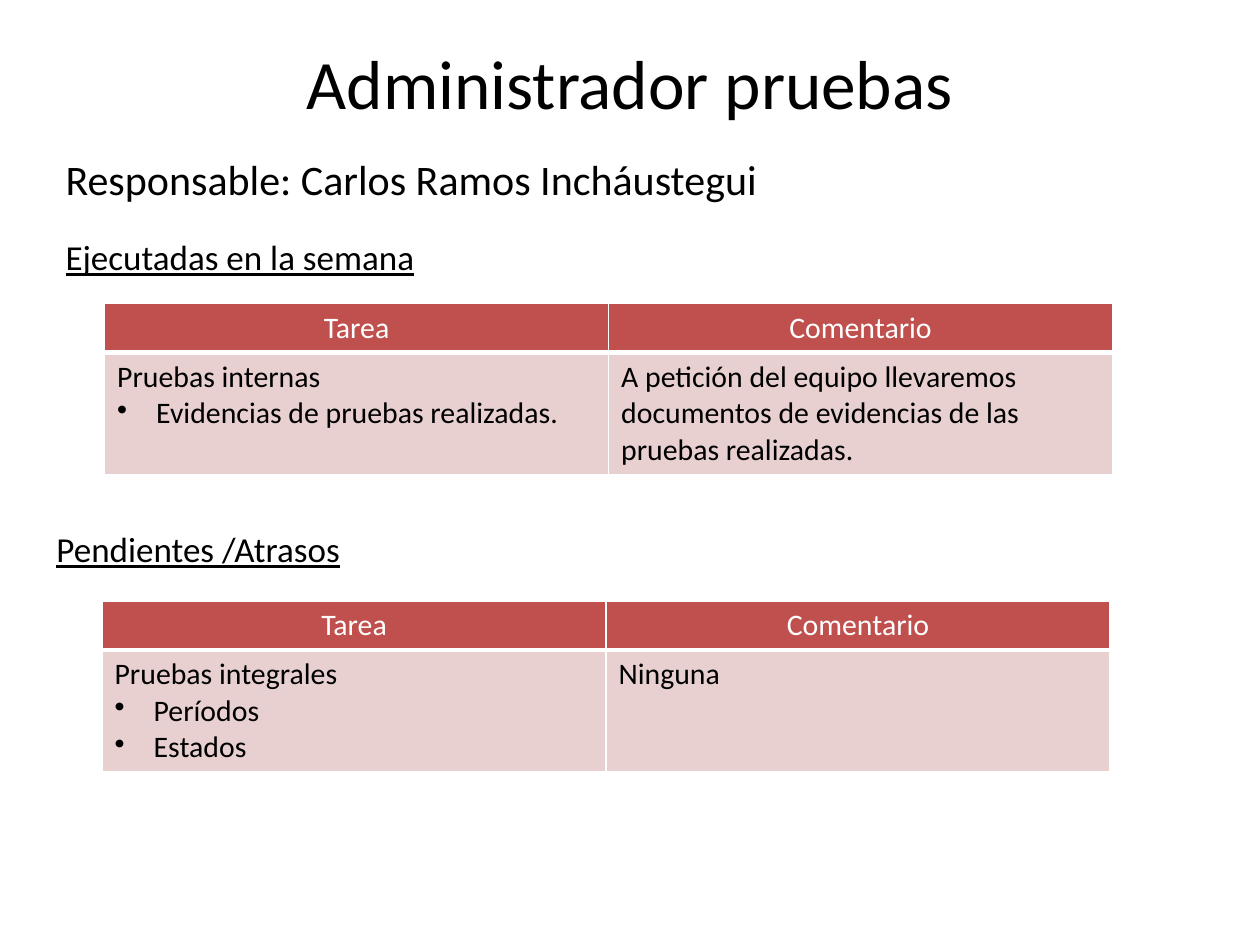
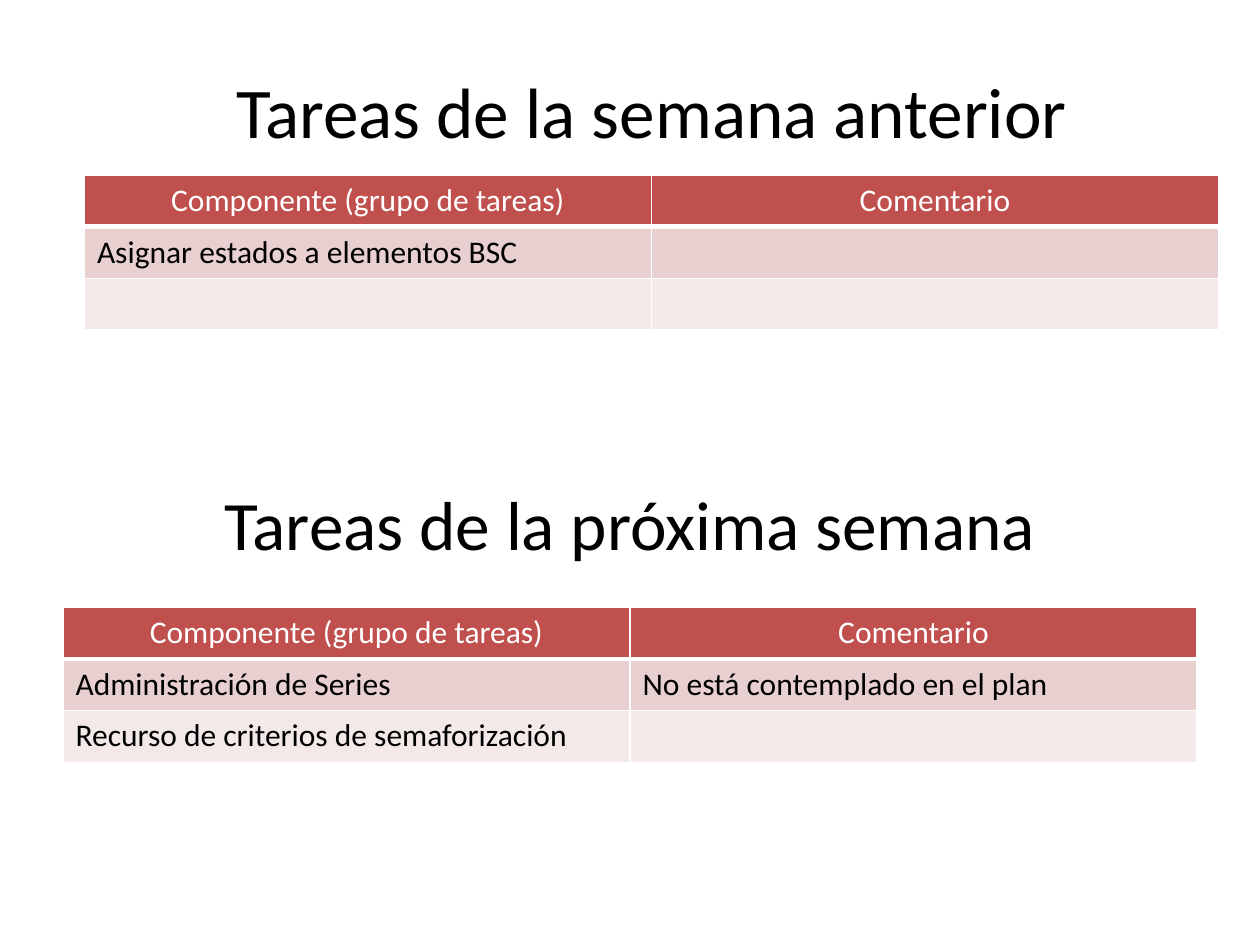
from lxml import etree
from pptx import Presentation
from pptx.dml.color import RGBColor
from pptx.enum.text import MSO_ANCHOR, MSO_AUTO_SIZE, PP_ALIGN
from pptx.oxml.ns import qn
from pptx.util import Emu, Inches, Pt

LEFT, CENTER = PP_ALIGN.LEFT, PP_ALIGN.CENTER
TOP, MIDDLE = MSO_ANCHOR.TOP, MSO_ANCHOR.MIDDLE
NO_AUTOFIT = MSO_AUTO_SIZE.NONE

# Shared style: a grid of 10 columns by 7.5 rows, one inch per unit
COLUMNS, ROWS = 10, 7.5
UNIT = Inches(1)
FONT = "Calibri"
TITLE_SIZE = 39.6
COLORS = {"text": "000000", "header": "C0504D", "header_text": "FFFFFF",
          "border": "FFFFFF", "odd_row": "E8D0D0", "even_row": "F4E9E9"}
TITLE_AND_BODY, TITLE_ONLY = 1, 5
TASK_HEADINGS = ["Tarea", "Comentario"]
COMPONENT_HEADINGS = ["Componente (grupo de tareas)", "Comentario"]


def grid(*units):
    return [Emu(int(unit * UNIT)) for unit in units]


def rgb(name):
    return RGBColor.from_string(COLORS[name])


def write(paragraph, text, size, color="text", align=LEFT, underline=None,
          before=0, indent=0, bullet=None):
    """Fill one paragraph with formatted text."""
    paragraph.alignment = align
    paragraph.space_before = Pt(before)
    properties = paragraph._p.get_or_add_pPr()
    hanging = int(indent * UNIT)
    properties.set("marL", str(hanging))
    properties.set("indent", str(-hanging))
    if bullet:
        etree.SubElement(properties, qn("a:buChar")).set("char", bullet)
    else:
        etree.SubElement(properties, qn("a:buNone"))
    run = paragraph.add_run()
    run.text = text
    run.font.name = FONT
    run.font.size = Pt(size)
    run.font.underline = underline
    run.font.color.rgb = rgb(color)


def place(shape, area, anchor):
    shape.left, shape.top, shape.width, shape.height = grid(*area)
    frame = shape.text_frame
    frame.word_wrap = True
    frame.auto_size = NO_AUTOFIT
    frame.vertical_anchor = anchor
    return frame


def add_title(shape, text, area, size=TITLE_SIZE):
    frame = place(shape, area, MIDDLE)
    write(frame.paragraphs[0], text, size, align=CENTER)


def write_section(paragraph, text, before=0):
    write(paragraph, text, 20, underline=True, before=before, indent=0.38)


def style_cell(cell, fill, bottom_width):
    """Draw the white borders and the fill of a cell."""
    properties = cell._tc.get_or_add_tcPr()
    widths = {"L": 1, "R": 1, "T": 1, "B": bottom_width}
    for position, (side, width) in enumerate(widths.items()):
        line = etree.Element(qn(f"a:ln{side}"), w=str(Pt(width)))
        paint = etree.SubElement(line, qn("a:solidFill"))
        etree.SubElement(paint, qn("a:srgbClr"), val=COLORS["border"])
        properties.insert(position, line)
    cell.fill.solid()
    cell.fill.fore_color.rgb = rgb(fill)


def fill_cell(cell, lines, **style):
    """Write the lines of a cell; those after the first are bulleted."""
    for number, line in enumerate(lines):
        frame = cell.text_frame
        if number:
            write(frame.add_paragraph(), line, indent=0.31, bullet="•", **style)
        else:
            write(frame.paragraphs[0], line, **style)


def add_tasks(slide, left, top, column_width, row_heights, headings, tasks, size):
    """Add a table; each cell of tasks is a list of lines."""
    area = grid(left, top, column_width * len(headings), sum(row_heights))
    table = slide.shapes.add_table(len(row_heights), len(headings), *area).table
    for column in table.columns:
        column.width = grid(column_width)[0]
    for row, height in zip(table.rows, row_heights):
        row.height = grid(height)[0]
    for column, heading in enumerate(headings):
        cell = table.cell(0, column)
        style_cell(cell, "header", 3)
        fill_cell(cell, [heading], size=size, color="header_text", align=CENTER)
    for number, task in enumerate(tasks, start=1):
        for column, lines in enumerate(task):
            cell = table.cell(number, column)
            style_cell(cell, "odd_row" if number % 2 else "even_row", 1)
            fill_cell(cell, lines, size=size)


def build_test_manager(deck):
    slide = deck.slides.add_slide(deck.slide_layouts[TITLE_AND_BODY])
    add_title(slide.shapes.title, "Administrador pruebas", (0.5, 0.3, 9, 0.7))
    task_table = {"column_width": 4, "row_heights": [0.37, 0.96],
                  "headings": TASK_HEADINGS, "size": 17}

    # Person in charge and tasks done
    summary = place(slide.placeholders[1], (0.42, 1.17, 9.33, 1.25), TOP)
    write(summary.paragraphs[0], "Responsable: Carlos Ramos Incháustegui", 24,
          indent=0.38)
    write_section(summary.add_paragraph(), "Ejecutadas en la semana", before=18)
    add_tasks(slide, 0.83, 2.41, tasks=[[
        ["Pruebas internas", "Evidencias de pruebas realizadas."],
        ["A petición del equipo llevaremos documentos de evidencias de las "
         "pruebas realizadas."]]], **task_table)

    # Pending tasks
    area = (0.35, 4.14, 9.33, 0.58)
    pending = place(slide.shapes.add_textbox(*grid(*area)), area, TOP)
    write_section(pending.paragraphs[0], "Pendientes /Atrasos")
    add_tasks(slide, 0.81, 4.77, tasks=[[
        ["Pruebas integrales", "Períodos", "Estados"], ["Ninguna"]]], **task_table)


def build_weekly_tasks(deck):
    slide = deck.slides.add_slide(deck.slide_layouts[TITLE_ONLY])
    component_table = {"column_width": 4.5, "row_heights": [0.41] * 3,
                       "headings": COMPONENT_HEADINGS, "size": 18}

    # Next week
    add_title(slide.shapes.title, "Tareas de la próxima semana",
              (0.5, 3.76, 9, 0.78))
    add_tasks(slide, 0.5, 4.82, tasks=[
        [["Administración de Series"], ["No está contemplado en el plan"]],
        [["Recurso de criterios de semaforización"], []]], **component_table)

    # Previous week
    area = (0.67, 0.52, 9, 0.71)
    add_title(slide.shapes.add_textbox(*grid(*area)),
              "Tareas de la semana anterior", area, size=40.7)
    add_tasks(slide, 0.67, 1.39, tasks=[
        [["Asignar estados a elementos BSC"], []],
        [[], []]], **component_table)


def main():
    deck = Presentation()
    deck.slide_width, deck.slide_height = grid(COLUMNS, ROWS)
    build_test_manager(deck)
    build_weekly_tasks(deck)
    deck.save("out.pptx")


if __name__ == "__main__":
    main()
